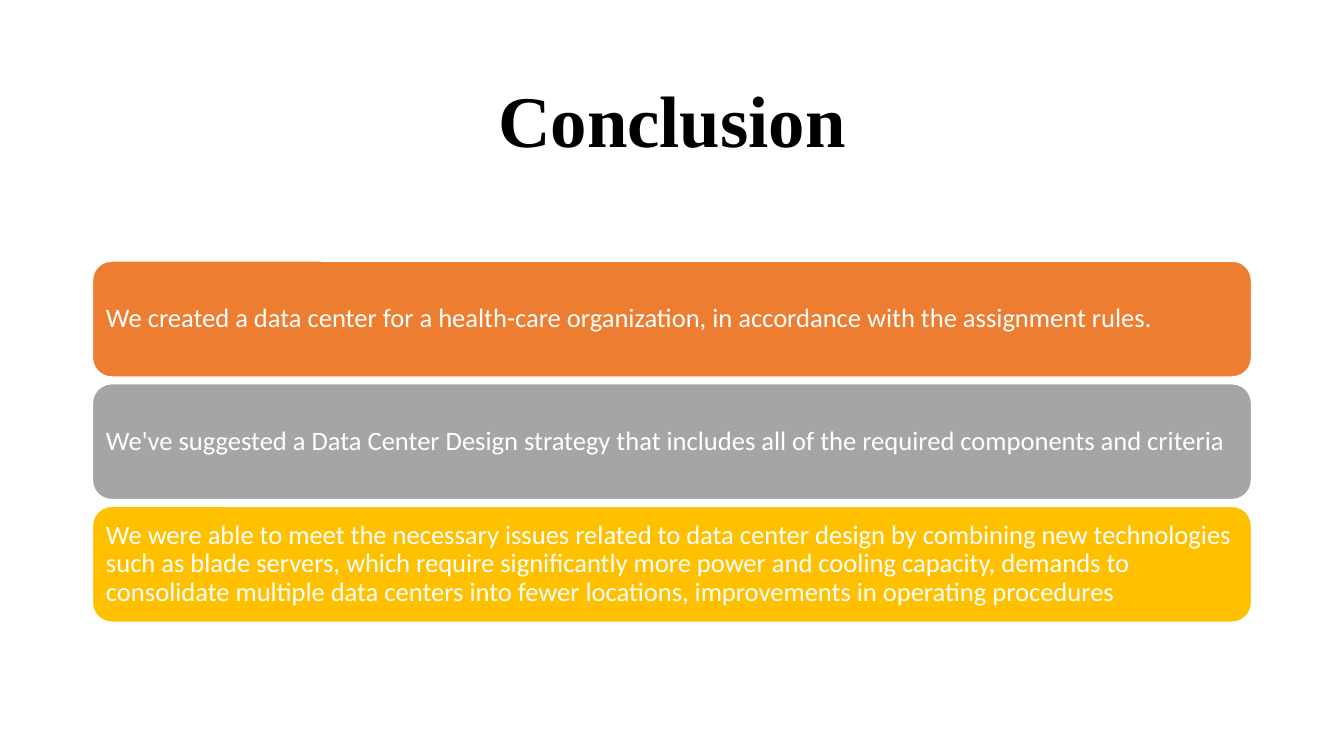
import dataclasses

import pptx
import pptx.dml.color
import pptx.enum.shapes
import pptx.enum.text
import pptx.util
from pptx.util import Cm


@dataclasses.dataclass(frozen=True)
class Theme:
    title_font: str = "Times New Roman"
    body_font: str = "Calibri"
    title_size: float = 52
    body_size: float = 19
    black: str = "000000"
    white: str = "FFFFFF"
    orange: str = "ED7D31"
    gray: str = "A5A5A5"
    gold: str = "FFC000"


THEME = Theme()

# Shared column and the even stacking of the bars
LEFT, WIDTH = Cm(2.33), Cm(29.21)
BARS_TOP, BAR_HEIGHT, BAR_STEP = Cm(6.58), Cm(2.92), Cm(3.09)
BAR_INSET = Cm(0.2)

CONCLUSIONS = [
    (THEME.orange, "We created a data center for a health-care organization, "
                   "in accordance with the assignment rules."),
    (THEME.gray, "We've suggested a Data Center Design strategy that includes "
                 "all of the required components and criteria"),
    (THEME.gold, "We were able to meet the necessary issues related to data "
                 "center design by combining new technologies such as blade "
                 "servers, which require significantly more power and cooling "
                 "capacity, demands to consolidate multiple data centers into "
                 "fewer locations, improvements in operating procedures"),
]


def rgb(color):
    return pptx.dml.color.RGBColor.from_string(color)


def write(frame, text, font, size, color, align, bold=False):
    """Put one vertically centred paragraph into a text frame."""
    frame.text = text
    frame.word_wrap = True
    frame.auto_size = pptx.enum.text.MSO_AUTO_SIZE.NONE
    frame.vertical_anchor = pptx.enum.text.MSO_ANCHOR.MIDDLE
    paragraph = frame.paragraphs[0]
    paragraph.alignment = align
    paragraph.line_spacing = 0.9
    paragraph.font.name = font
    paragraph.font.size = pptx.util.Pt(size)
    paragraph.font.bold = bold
    paragraph.font.color.rgb = rgb(color)


def set_title(slide, text):
    heading = slide.shapes.title
    heading.left, heading.top = LEFT, Cm(1.55)
    heading.width, heading.height = WIDTH, Cm(3.15)
    write(heading.text_frame, text, THEME.title_font, THEME.title_size,
          THEME.black, pptx.enum.text.PP_ALIGN.CENTER, bold=True)


def add_bar(slide, top, fill, text):
    bar = slide.shapes.add_shape(
        pptx.enum.shapes.MSO_SHAPE.ROUNDED_RECTANGLE,
        LEFT, top, WIDTH, BAR_HEIGHT)
    bar.shadow.inherit = False
    bar.fill.solid()
    bar.fill.fore_color.rgb = rgb(fill)
    bar.line.color.rgb = rgb(THEME.white)
    bar.line.width = pptx.util.Pt(1)
    frame = bar.text_frame
    frame.margin_left = frame.margin_right = BAR_INSET
    frame.margin_top = frame.margin_bottom = BAR_INSET
    write(frame, text, THEME.body_font, THEME.body_size,
          THEME.white, pptx.enum.text.PP_ALIGN.LEFT)


def main():
    deck = pptx.Presentation()
    deck.slide_width, deck.slide_height = Cm(33.87), Cm(19.05)
    slide = deck.slides.add_slide(deck.slide_layouts.get_by_name("Title Only"))

    # Title
    set_title(slide, "Conclusion")

    # Stacked conclusion bars
    for row, (fill, text) in enumerate(CONCLUSIONS):
        add_bar(slide, BARS_TOP + row * BAR_STEP, fill, text)

    deck.save("out.pptx")


if __name__ == "__main__":
    main()
